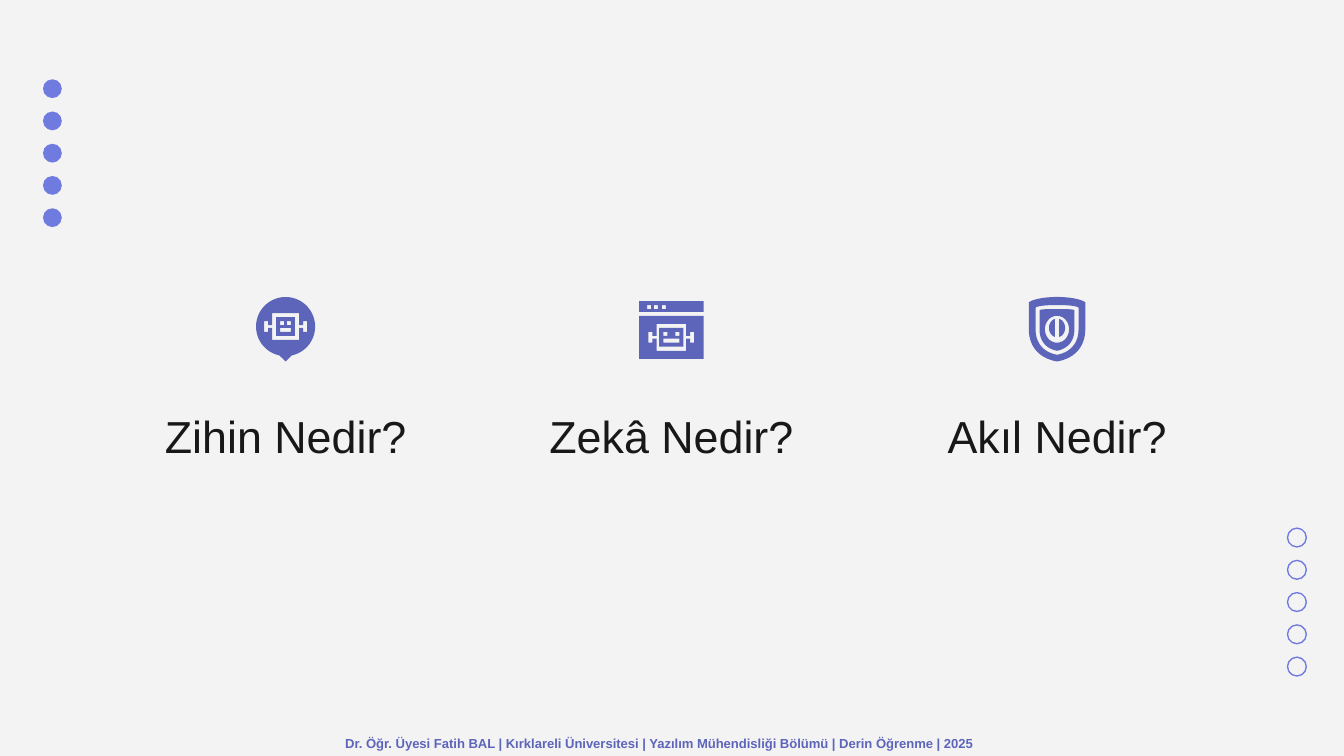
import math

import pptx
import pptx.dml.color
import pptx.enum.shapes
import pptx.enum.text
import pptx.util

Inches = pptx.util.Inches
RGBColor = pptx.dml.color.RGBColor
Anchor = pptx.enum.text.MSO_ANCHOR
Align = pptx.enum.text.PP_ALIGN

PAPER = RGBColor(0xF3, 0xF3, 0xF3)
INK = RGBColor(0x18, 0x18, 0x18)
PERIWINKLE = RGBColor(0x70, 0x7B, 0xE0)
INDIGO = RGBColor(0x5D, 0x65, 0xBB)
FONT = "Arial"


def rectangle(left, top, right, bottom):
    """Return the corners of a rectangle."""
    return [(left, top), (right, top), (right, bottom), (left, bottom)]


def arc(radius_x, radius_y, start, end, steps=48):
    """Return points along an elliptical arc, with angles in degrees."""
    angles = [math.radians(start + (end - start) * i / steps) for i in range(steps + 1)]
    return [(radius_x * math.cos(a), radius_y * math.sin(a)) for a in angles]


def curve(p0, p1, p2, p3, steps=16):
    """Return points along a cubic Bezier curve."""
    points = []
    for i in range(steps + 1):
        t = i / steps
        weights = ((1 - t) ** 3, 3 * t * (1 - t) ** 2, 3 * t * t * (1 - t), t ** 3)
        points.append(tuple(
            sum(w * p[axis] for w, p in zip(weights, (p0, p1, p2, p3)))
            for axis in (0, 1)))
    return points


def mirrored(points):
    """Close a right-hand half outline with its mirror image."""
    return points + [(-x, y) for x, y in reversed(points)]


def add_outline(page, center_x, center_y, contours):
    """Draw one filled outline whose inner contours are holes."""
    placed = [[(Inches(center_x + x), Inches(center_y + y)) for x, y in contour]
              for contour in contours]
    builder = page.shapes.build_freeform(*placed[0][0], scale=1.0)
    for number, contour in enumerate(placed):
        if number:
            builder.move_to(*contour[0])
        builder.add_line_segments(contour[1:], close=True)
    shape = builder.convert_to_shape()
    shape.shadow.inherit = False
    shape.fill.solid()
    shape.fill.fore_color.rgb = INDIGO
    shape.line.fill.background()


def robot_silhouette(widening):
    """Return the outline of a robot head with its two ears."""
    head, neck, ear = (x + widening for x in (0.1, 0.13, 0.16))
    return mirrored([
        (head, -0.1), (head, -0.01), (neck, -0.01), (neck, -0.04), (ear, -0.04),
        (ear, 0.04), (neck, 0.04), (neck, 0.01), (head, 0.01), (head, 0.1)])


def robot_face(widening):
    """Return the face plate with holes for eyes and mouth."""
    plate, mouth, eye = (x + widening for x in (0.07, 0.04, 0.01))
    return [
        rectangle(-plate, -0.07, plate, 0.07),
        rectangle(-eye - 0.03, -0.04, -eye, -0.01),
        rectangle(eye, -0.04, eye + 0.03, -0.01),
        rectangle(-mouth, 0.01, mouth, 0.04)]


def add_bubble_icon(page, x, y):
    """Draw a robot in a round speech bubble centred at x, y."""
    bubble = arc(0.22, 0.22, 102, 438) + [(0, 0.26)]
    robot_y = y - 0.02
    add_outline(page, x, robot_y, [bubble, robot_silhouette(0)])
    add_outline(page, x, robot_y, robot_face(0))


def add_window_icon(page, x, y):
    """Draw a robot in a browser window centred at x, y."""
    buttons = [rectangle(left, -0.18, left + 0.03, -0.15)
               for left in (-0.18, -0.13, -0.07)]
    add_outline(page, x, y, [rectangle(-0.24, -0.21, 0.24, -0.13)] + buttons)
    robot_y = y + 0.06
    window = rectangle(-0.24, -0.16, 0.24, 0.16)
    add_outline(page, x, robot_y, [window, robot_silhouette(0.01)])
    add_outline(page, x, robot_y, robot_face(0.02))


def shield(half_width, top, shoulder, bottom):
    """Return a shield outline around the origin."""
    crown = curve((0, top), (half_width * 0.65, top),
                  (half_width * 0.95, shoulder - 0.01), (half_width, shoulder))
    point = curve((half_width, 0), (half_width, bottom * 0.6),
                  (half_width * 0.55, bottom * 0.92), (0, bottom))
    return mirrored(crown + point)


def add_shield_icon(page, x, y):
    """Draw a shield with a split emblem centred at x, y."""
    add_outline(page, x, y, [shield(0.21, -0.24, -0.2, 0.24),
                             shield(0.16, -0.18, -0.16, 0.19)])
    add_outline(page, x, y, [shield(0.13, -0.15, -0.14, 0.16),
                             arc(0.09, 0.1, 0, 360)])
    half = arc(0.06, 0.07, -75, 75)
    for side in (-1, 1):
        add_outline(page, x, y - 0.01, [[(side * px, py) for px, py in half]])


def add_dots(page, left, top, filled):
    """Place a column of five dots, filled or outlined."""
    for row in range(5):
        dot = page.shapes.add_shape(
            pptx.enum.shapes.MSO_SHAPE.OVAL, Inches(left), Inches(top + row * 0.24),
            Inches(0.14), Inches(0.14))
        dot.shadow.inherit = False
        if filled:
            dot.fill.solid()
            dot.fill.fore_color.rgb = PERIWINKLE
            dot.line.fill.background()
        else:
            dot.fill.background()
            dot.line.color.rgb = PERIWINKLE
            dot.line.width = pptx.util.Pt(0.75)


def add_text(page, bounds, text, size, color, anchor, align, bold=False):
    """Write one paragraph in a text box."""
    box = page.shapes.add_textbox(*map(Inches, bounds))
    frame = box.text_frame
    frame.word_wrap = True
    frame.vertical_anchor = anchor
    frame.margin_left = frame.margin_right = Inches(0.1)
    frame.margin_top = frame.margin_bottom = Inches(0.1)
    frame.text = text
    para = frame.paragraphs[0]
    para.alignment = align
    para.line_spacing = 1.15
    font = para.runs[0].font
    font.name = FONT
    font.size = pptx.util.Pt(size)
    font.bold = bold
    font.color.rgb = color


def add_question(page, left, top, text, add_icon):
    """Place a question with its icon centred above it."""
    width = 2.45
    add_icon(page, left + width / 2, top + 0.24)
    add_text(page, (left, top + 0.61, width, 0.72), text, 24, INK,
             Anchor.BOTTOM, Align.CENTER)


def main():
    """Build and save the deck."""
    deck = pptx.Presentation()
    deck.slide_width = Inches(10)
    deck.slide_height = deck.slide_width * 9 // 16
    page = deck.slides.add_slide(deck.slide_layouts.get_by_name("Blank"))
    page.background.fill.solid()
    page.background.fill.fore_color.rgb = PAPER

    add_dots(page, 9.58, 3.93, filled=False)
    add_dots(page, 0.32, 0.59, filled=True)
    questions = [("Zihin Nedir?", add_bubble_icon),
                 ("Zekâ Nedir?", add_window_icon),
                 ("Akıl Nedir?", add_shield_icon)]
    for column, (text, add_icon) in enumerate(questions):
        add_question(page, 0.9 + column * 2.87, 2.21, text, add_icon)
    add_text(page, (2.47, 5.42, 5.06, 0.2),
             "Dr. Öğr. Üyesi Fatih BAL | Kırklareli Üniversitesi | "
             "Yazılım Mühendisliği Bölümü | Derin Öğrenme | 2025",
             7, INDIGO, Anchor.MIDDLE, Align.LEFT, bold=True)
    deck.save("out.pptx")


if __name__ == "__main__":
    main()
